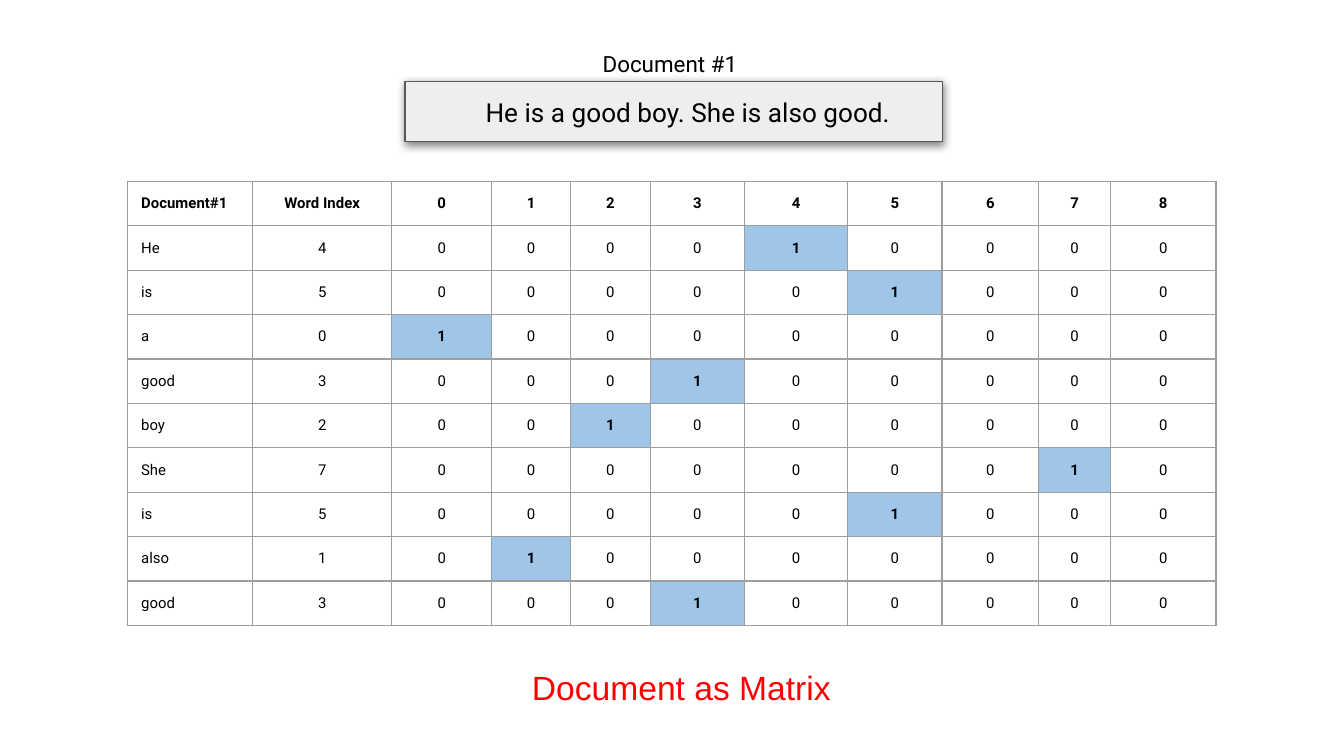
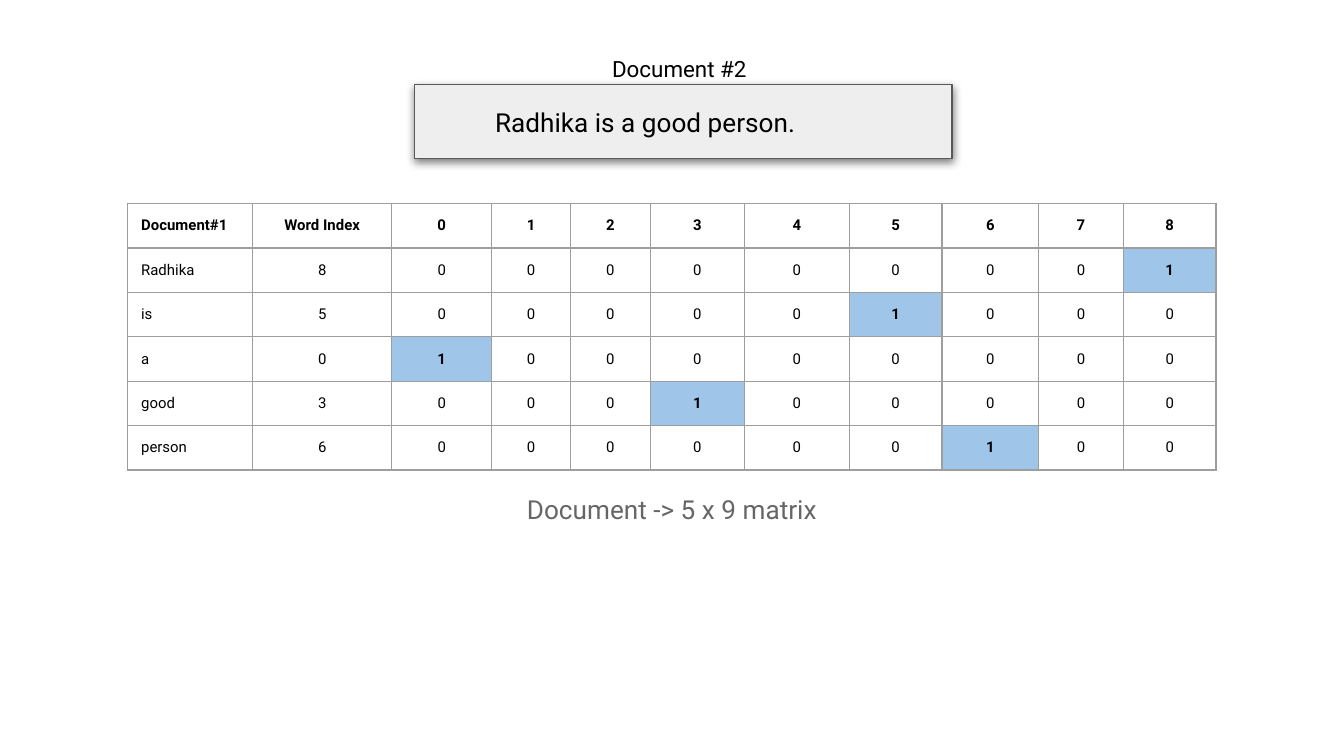
from dataclasses import dataclass

from lxml import etree
from pptx import Presentation
from pptx import util as u
from pptx.dml import color
from pptx.enum import shapes, text
from pptx.oxml import ns

SCALE = 4572
INSET = 20
ROW_HEIGHT = 50
COLORS = {
    "ink": "000000",
    "panel": "EEEEEE",
    "outline": "595959",
    "grid": "9E9E9E",
    "hit": "9FC5E8",
    "red": "FF0000",
    "gray": "666666",
}
VOCABULARY = {
    "a": 0, "also": 1, "boy": 2, "good": 3, "He": 4,
    "is": 5, "person": 6, "She": 7, "Radhika": 8,
}
SHARED_WIDTHS = [186, 207, 149, 117, 119, 140]


@dataclass(frozen=True)
class Area:
    left: int
    top: int
    width: int
    height: int

    def emu(self) -> tuple[int, ...]:
        return tuple(px(n) for n in (self.left, self.top, self.width, self.height))


@dataclass(frozen=True)
class Caption:
    words: str
    area: Area
    size: int
    font: str
    ink: str


@dataclass(frozen=True)
class DocumentPage:
    title: str
    title_area: Area
    sentence: str
    sentence_area: Area
    table_top: int
    last_widths: list[int]
    caption: Caption


PAGES = [
    DocumentPage(
        "Document #1", Area(597, 54, 800, 66),
        "He is a good boy. She is also good.", Area(603, 121, 800, 90),
        270, [154, 140, 144, 107, 157],
        Caption("Document as Matrix", Area(220, 976, 1588, 94), 18, "Arial", "red"),
    ),
    DocumentPage(
        "Document #2", Area(611, 62, 800, 64),
        "Radhika is a good person.", Area(617, 126, 800, 110),
        303, [156, 138, 144, 126, 138],
        Caption("Document -> 5 x 9 matrix", Area(206, 711, 1588, 94), 14, "Roboto", "gray"),
    ),
]


def px(length: int) -> int:
    return u.Emu(length * SCALE)


def rgb(name: str) -> color.RGBColor:
    return color.RGBColor.from_string(COLORS[name])


def add_xml(parent, tag: str, **attributes):
    values = {key: str(value) for key, value in attributes.items()}
    return etree.SubElement(parent, ns.qn(tag), values)


def write(frame, words: str, *, size: int, font: str = "Roboto", ink: str = "ink",
          bold: bool = False, align=text.PP_ALIGN.CENTER, indent: int = 0) -> None:
    para = frame.paragraphs[0]
    para.alignment = align
    if indent:
        properties = para._p.get_or_add_pPr()
        properties.set("marL", "0")
        properties.set("indent", str(px(indent)))
    span = para.add_run()
    span.text = words
    span.font.size = u.Pt(size)
    span.font.name = font
    span.font.bold = bold
    span.font.color.rgb = rgb(ink)


def prepare(frame, anchor=text.MSO_ANCHOR.MIDDLE):
    frame.word_wrap = True
    frame.auto_size = text.MSO_AUTO_SIZE.NONE
    frame.vertical_anchor = anchor
    set_margins(frame)
    return frame


def set_margins(holder) -> None:
    holder.margin_left = holder.margin_right = px(INSET)
    holder.margin_top = holder.margin_bottom = px(INSET)


def draw_title(page, words: str, area: Area) -> None:
    box = page.shapes.title
    box.left, box.top, box.width, box.height = area.emu()
    write(prepare(box.text_frame, text.MSO_ANCHOR.TOP), words, size=12)


def draw_sentence(page, words: str, area: Area) -> None:
    box = page.shapes.add_shape(shapes.MSO_SHAPE.RECTANGLE, *area.emu())
    box.fill.solid()
    box.fill.fore_color.rgb = rgb("panel")
    box.line.color.rgb = rgb("outline")
    box.line.width = u.Pt(0.75)
    box.shadow.inherit = False
    effects = box._element.spPr.find(ns.qn("a:effectLst"))
    shadow = add_xml(effects, "a:outerShdw", blurRad=u.Pt(4.5), dist=u.Pt(1.5),
                     dir=5400000, algn="bl", rotWithShape=0)
    shade = add_xml(shadow, "a:srgbClr", val=COLORS["ink"])
    add_xml(shade, "a:alpha", val=50000)
    write(prepare(box.text_frame), words, size=14,
          align=text.PP_ALIGN.LEFT, indent=100)


def draw_caption(page, caption: Caption) -> None:
    box = page.shapes.add_textbox(*caption.area.emu())
    write(prepare(box.text_frame), caption.words, size=caption.size,
          font=caption.font, ink=caption.ink)


def fill_cell(cell, words: str, *, bold: bool, hit: bool, first: bool) -> None:
    set_margins(cell)
    properties = cell._tc.get_or_add_tcPr()
    for side in ("a:lnL", "a:lnR", "a:lnT", "a:lnB"):
        border = add_xml(properties, side, w=u.Pt(0.75))
        fill = add_xml(border, "a:solidFill")
        add_xml(fill, "a:srgbClr", val=COLORS["grid"])
    if hit:
        cell.fill.solid()
        cell.fill.fore_color.rgb = rgb("hit")
    else:
        cell.fill.background()
    write(cell.text_frame, words, size=8, bold=bold,
          align=text.PP_ALIGN.LEFT if first else text.PP_ALIGN.CENTER)


def draw_matrix(page, sentence: str, top: int, widths: list[int]) -> None:
    tokens = sentence.replace(".", "").split()
    rows = [["Document#1", "Word Index", *map(str, range(len(VOCABULARY)))]]
    for token in tokens:
        index = VOCABULARY[token]
        flags = [str(int(n == index)) for n in range(len(VOCABULARY))]
        rows.append([token, str(index), *flags])
    area = Area(190, top, sum(widths), ROW_HEIGHT * len(rows))
    table = page.shapes.add_table(len(rows), len(widths), *area.emu()).table
    table.first_row = False
    table.horz_banding = False
    for column, width in zip(table.columns, widths):
        column.width = px(width)
    for r, row in enumerate(rows):
        table.rows[r].height = px(ROW_HEIGHT)
        for c, words in enumerate(row):
            hit = r > 0 and c > 1 and words == "1"
            fill_cell(table.cell(r, c), words, bold=r == 0 or hit, hit=hit, first=c == 0)


def main() -> None:
    deck = Presentation()
    deck.slide_width = px(2000)
    deck.slide_height = px(1125)
    layout = deck.slide_layouts.get_by_name("Title Only")
    for item in PAGES:
        page = deck.slides.add_slide(layout)
        draw_title(page, item.title, item.title_area)
        draw_matrix(page, item.sentence, item.table_top, SHARED_WIDTHS + item.last_widths)
        draw_sentence(page, item.sentence, item.sentence_area)
        draw_caption(page, item.caption)
    deck.save("out.pptx")


if __name__ == "__main__":
    main()
